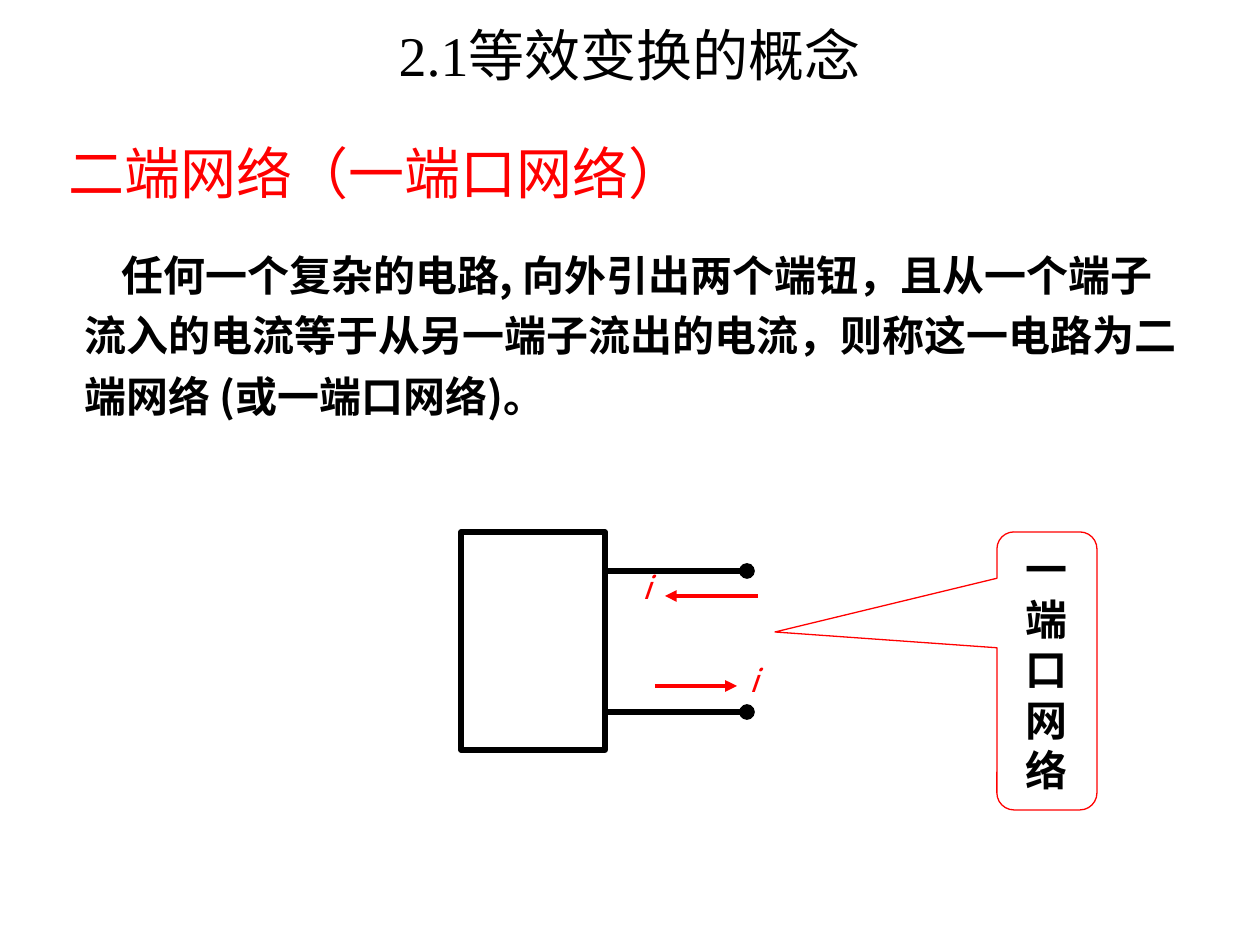
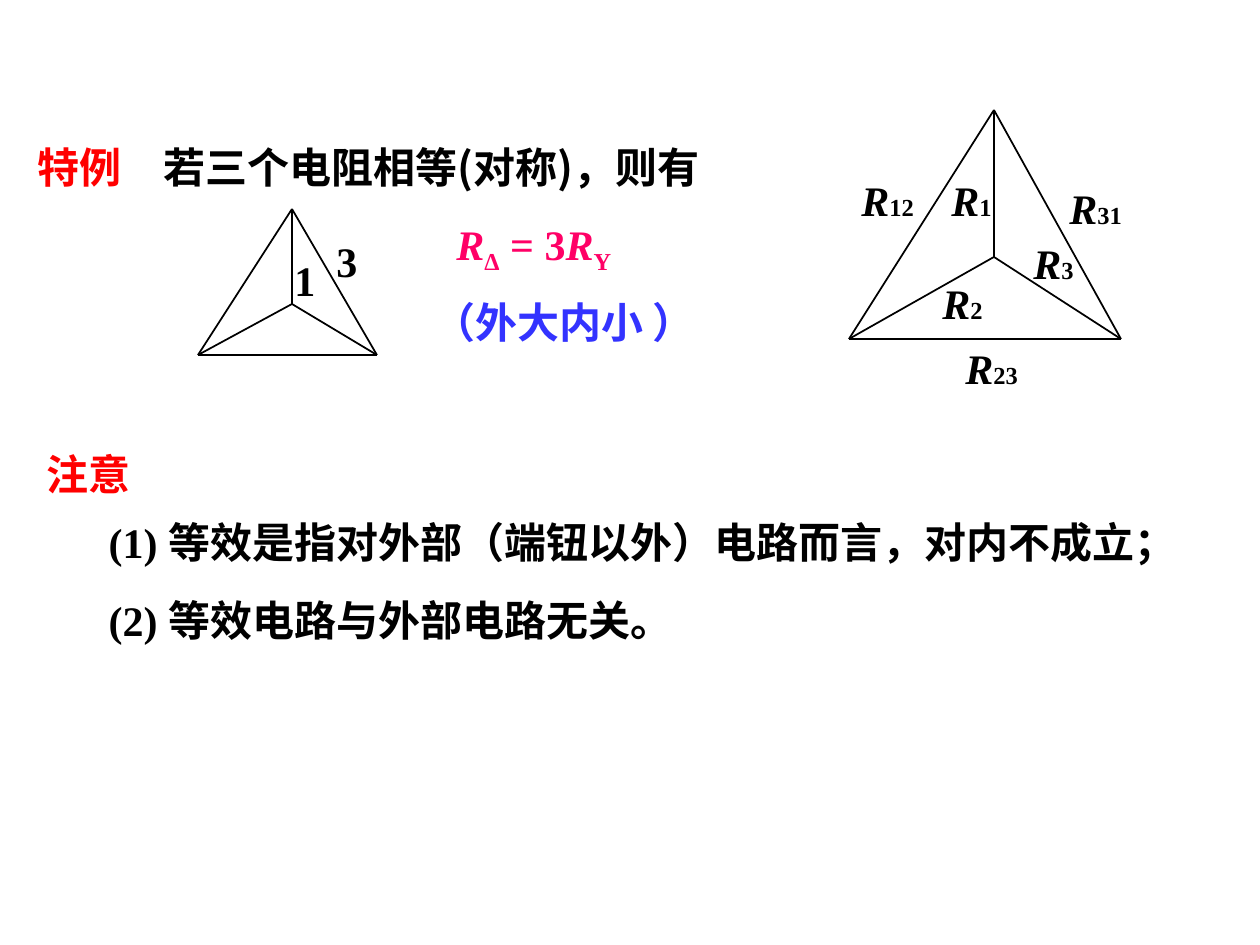
from itertools import combinations

from lxml import etree
from pptx import Presentation
from pptx import util as u
from pptx.dml.color import RGBColor
from pptx.enum import shapes, text
from pptx.oxml import ns

SCALE = 914400 / 126  # EMU per px
COLORS = {"black": "000000", "red": "FF0000", "pink": "FF0066", "blue": "3333FF"}
SANS, SERIF = "Noto Sans CJK SC", "Times New Roman"
LEFT, CENTER = text.PP_ALIGN.LEFT, text.PP_ALIGN.CENTER
TOP, MIDDLE = text.MSO_ANCHOR.TOP, text.MSO_ANCHOR.MIDDLE


def px(n):
    return u.Emu(round(n * SCALE))


def rgb(name):
    return RGBColor.from_string(COLORS[name])


def child(parent, tag, **attrs):
    return etree.SubElement(parent, ns.qn(tag), attrs)


# Text
def write(p, content, size=24, font=SERIF, color="black", bold=True, italic=False,
          align=LEFT, indent=0, tab=None):
    """Fill a paragraph with a string or with (string, overrides) pairs."""
    p.alignment = align
    p.space_before = u.Pt(0)
    pPr = p._p.get_or_add_pPr()
    pPr.set("marL", "0")
    pPr.set("indent", str(px(indent)))
    child(pPr, "a:buNone")
    if tab:
        child(child(pPr, "a:tabLst"), "a:tab", pos=str(px(tab)), algn="l")
    f = p.font
    f.size, f.name, f.bold, f.italic = u.Pt(size), font, bold, italic
    f.color.rgb = rgb(color)
    child(f._rPr, "a:ea", typeface=SANS)
    runs = [(content, {})] if isinstance(content, str) else content
    for words, style in runs:
        r = p.add_run()
        r.text = words
        if "color" in style:
            r.font.color.rgb = rgb(style["color"])
        if "italic" in style:
            r.font.italic = style["italic"]
        if "size" in style:
            r.font.size = u.Pt(style["size"])
        if "base" in style:
            r.font._rPr.set("baseline", str(style["base"] * 1000))


def place(sp, box, anchor=TOP, wrap=True):
    sp.left, sp.top, sp.width, sp.height = map(px, box)
    tf = sp.text_frame
    tf.word_wrap = wrap
    tf.auto_size = text.MSO_AUTO_SIZE.NONE
    tf.vertical_anchor = anchor
    return tf


def add_text(parent, box, content, wrap=True, **style):
    sp = parent.add_textbox(*map(px, box))
    p = place(sp, box, wrap=wrap).paragraphs[0]
    write(p, content, **style)
    return p


def add_title(s, box, content, anchor=TOP, **style):
    write(place(s.shapes.title, box, anchor).paragraphs[0], content, **style)


def add_list(s, box, items, gap):
    tf = place(s.placeholders[1], box)
    for i, item in enumerate(items):
        p = tf.add_paragraph() if i else tf.paragraphs[0]
        write(p, item)
        if i:
            p.space_before = u.Pt(gap)


# Drawing
def add_outline(parent, kind, box, color, width):
    sp = parent.add_shape(kind, *map(px, box))
    sp.shadow.inherit = False
    sp.fill.background()
    sp.line.color.rgb = rgb(color)
    sp.line.width = u.Pt(width)
    return sp


def add_line(parent, start, end, color="black", width=1, tail=None):
    c = parent.add_connector(shapes.MSO_CONNECTOR.STRAIGHT, *map(px, start + end))
    c.line.color.rgb = rgb(color)
    c.line.width = u.Pt(width)
    if tail:
        child(c.line._get_or_add_ln(), "a:tailEnd", type=tail)
    child(c._element.spPr, "a:effectLst")


def add_star_delta(parent, apex, left, right, hub):
    for start, end in combinations((apex, left, right, hub), 2):
        add_line(parent, start, end)


# Slides
def build_concept(prs):
    s = prs.slides.add_slide(prs.slide_layouts[5])
    add_title(s, (47, 23, 1166, 63), "2.1等效变换的概念", MIDDLE,
              size=32, bold=False, align=CENTER)
    add_text(s.shapes, (44, 132, 665, 81), "二端网络（一端口网络）",
             size=32, font=SANS, color="red", bold=False, align=CENTER)
    definition = add_text(
        s.shapes, (72, 233, 1131, 197),
        "任何一个复杂的电路, 向外引出两个端钮，且从一个端子流入的电流等于"
        "从另一端子流出的电流，则称这一电路为二端网络 (或一端口网络)。",
        font=SANS, indent=37)
    definition.line_spacing = 1.2

    callout = add_outline(s.shapes, shapes.MSO_SHAPE.ROUNDED_RECTANGULAR_CALLOUT,
                          (997, 532, 100, 278), "red", 0.75)
    for i, value in enumerate((-2.72, -0.14, 0.17)):
        callout.adjustments[i] = value
    callout.text_frame.word_wrap = True
    callout.text_frame.vertical_anchor = TOP
    write(callout.text_frame.paragraphs[0], "一端口网络", font=SANS, align=CENTER)

    # One-port network with its terminals and currents
    port = s.shapes.add_group_shape().shapes
    add_outline(port, shapes.MSO_SHAPE.RECTANGLE, (461, 532, 144, 218), "black", 3)
    for y in (571, 712):
        add_line(port, (605, y), (747, y), width=3, tail="oval")
    for start, end, y in ((758, 665, 596), (655, 737, 686)):
        add_line(port, (start, y), (end, y), "red", 2.25, "triangle")
    for x, y in ((737, 655), (630, 562)):
        add_text(port, (x, y, 52, 50), "i", size=18, font=SANS, color="red",
                 bold=False, italic=True)


def build_special_case(prs):
    s = prs.slides.add_slide(prs.slide_layouts[1])
    add_title(s, (25, 135, 756, 63),
              [("特例\t", {"color": "red"}), ("若三个电阻相等(对称)，则有", {})],
              font=SANS, tab=103)
    sub = {"italic": False, "base": -25}
    add_text(s.shapes, (444, 212, 210, 63),
             [("R", {}), ("Δ", sub), (" = 3", {"italic": False}), ("R", {}), ("Y", sub)],
             color="pink", italic=True)
    add_text(s.shapes, (421, 290, 357, 63), "（外大内小 ）", color="blue")

    # Symmetric case
    small = s.shapes.add_group_shape().shapes
    add_star_delta(small, (292, 209), (198, 355), (377, 355), (292, 304))
    for label, x, y in (("1", 282, 248), ("3", 324, 229)):
        add_text(small, (x, y, 48, 63), label)

    # General case
    large = s.shapes.add_group_shape().shapes
    add_star_delta(large, (994, 110), (849, 339), (1121, 339), (994, 257))
    for index, x, y in (("31", 1057, 176), ("23", 953, 336), ("12", 849, 168),
                        ("3", 1021, 231), ("2", 930, 271), ("1", 939, 168)):
        add_text(large, (x, y, 54 + 12 * len(index), 63),
                 [("R", {}), (index, {"size": 14, "italic": False})],
                 wrap=False, italic=True)

    # Notes
    add_text(s.shapes, (34, 442, 136, 63), "注意", color="red")
    add_list(s, (96, 510, 1137, 142),
             ("(1) 等效是指对外部（端钮以外）电路而言，对内不成立；",
              "(2) 等效电路与外部电路无关。"), gap=16)


def main():
    prs = Presentation()
    prs.slide_width, prs.slide_height = u.Inches(10), u.Inches(7.5)
    build_concept(prs)
    build_special_case(prs)
    prs.save("out.pptx")


if __name__ == "__main__":
    main()
